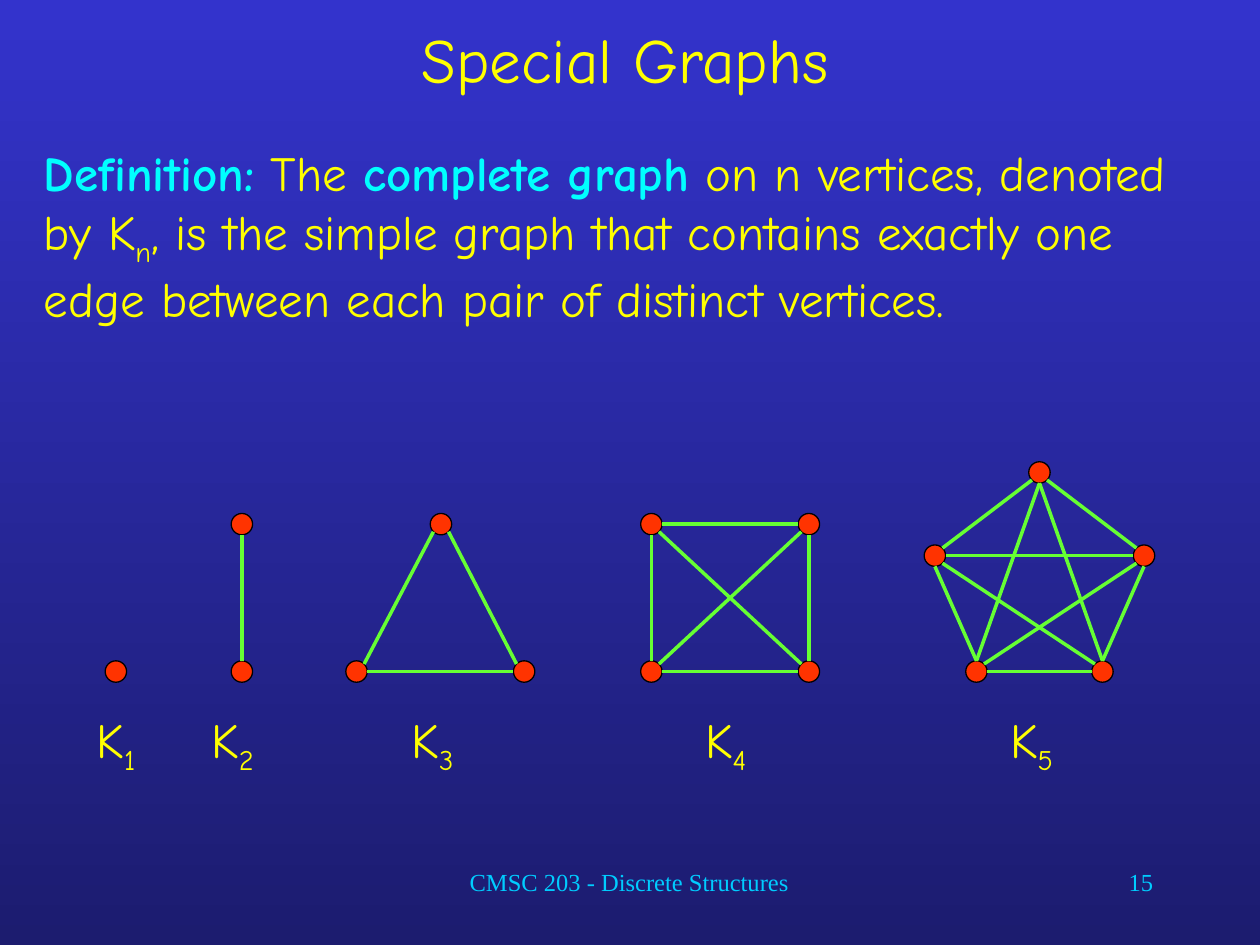
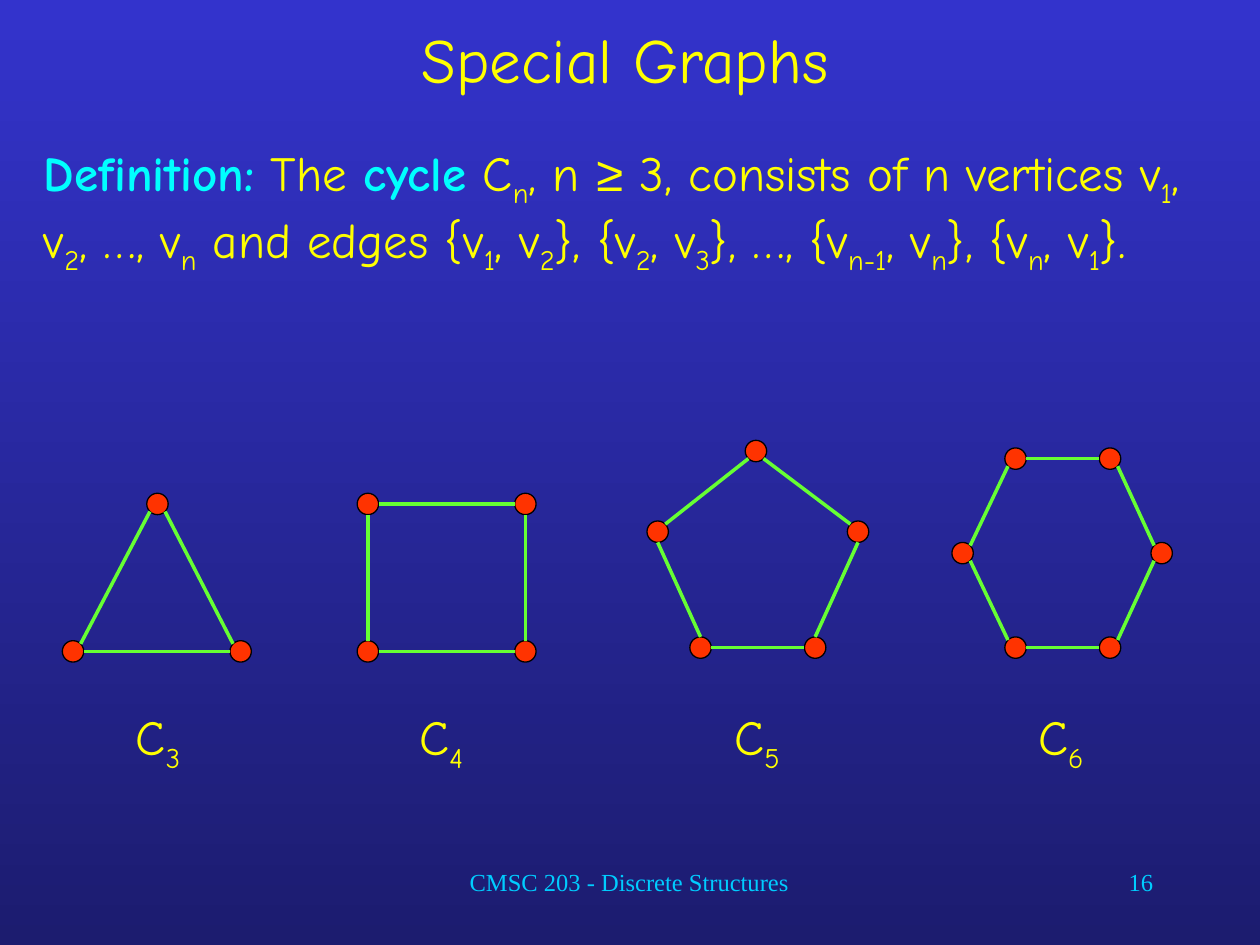
"""Build two slides on special graphs: complete graphs and cycles."""
import math
from dataclasses import dataclass
from itertools import combinations

from lxml import etree
from pptx import Presentation
from pptx import util as u
from pptx.dml.color import RGBColor
from pptx.enum import shapes, text
from pptx.oxml.ns import qn


@dataclass(frozen=True)
class Theme:
    sky: str = "3333CC"
    night: str = "1C1C6F"
    ink: str = "FFFF00"
    term: str = "00FFFF"
    footer: str = "00CCFF"
    vertex: str = "FF3300"
    outline: str = "000000"
    edge: str = "66FF33"
    font: str = "Comic Neue"
    footer_font: str = "Times New Roman"
    symbol_font: str = "Arial"
    title_size: int = 36
    body_size: int = 28
    footer_size: int = 14
    dot: float = 0.17


def rgb(color):
    return RGBColor.from_string(color)


def add_run(p, content, *, font, size, color, bold=False, subscript=False):
    r = p.add_run()
    r.text = content
    r.font.name, r.font.size, r.font.bold = font, u.Pt(size), bold
    r.font.color.rgb = rgb(color)
    if subscript:
        r.font._element.set("baseline", "-25000")


def complete_edges(points):
    return list(combinations(points, 2))


def cycle_edges(points):
    return list(zip(points, points[1:] + points[:1]))


class Deck:
    def __init__(self, theme):
        self.theme = theme
        self.prs = Presentation()
        self.prs.slide_width, self.prs.slide_height = u.Inches(10), u.Inches(7.5)
        self.marks = {
            "*": {"color": theme.term, "bold": True},
            "_": {"subscript": True},
            "@": {"font": theme.symbol_font},
        }

    def slide(self, title, number):
        t = self.theme
        self.s = self.prs.slides.add_slide(self.prs.slide_layouts[6])
        fill = self.s.background.fill
        fill.gradient()
        fill.gradient_angle = 270
        for stop, color in zip(fill.gradient_stops, (t.sky, t.night)):
            stop.color.rgb = rgb(color)
        footer = {"font": t.footer_font, "size": t.footer_size, "color": t.footer}
        self.text("CMSC 203 - Discrete Structures", 2.83, 6.83, 4.33, 0.5,
                  align=text.PP_ALIGN.CENTER, **footer)
        self.text(str(number), 7.17, 6.83, 2.08, 0.5, align=text.PP_ALIGN.RIGHT, **footer)
        self.text(title, 0.25, 0, 9.42, 0.92, size=t.title_size,
                  align=text.PP_ALIGN.CENTER, anchor=text.MSO_ANCHOR.MIDDLE)

    def text(self, content, x, y, w, h, *, font=None, size=None, color=None,
             align=text.PP_ALIGN.LEFT, anchor=text.MSO_ANCHOR.TOP,
             before=0, after=0, grow=False):
        t = self.theme
        tf = self.s.shapes.add_textbox(*map(u.Inches, (x, y, w, h))).text_frame
        tf.word_wrap, tf.vertical_anchor = True, anchor
        if grow:
            tf.auto_size = text.MSO_AUTO_SIZE.SHAPE_TO_FIT_TEXT
        p = tf.paragraphs[0]
        p.alignment, p.space_before, p.space_after = align, u.Pt(before), u.Pt(after)
        base = {"font": font or t.font, "size": size or t.body_size, "color": color or t.ink}
        for piece in content.split("|"):
            mark = self.marks.get(piece[0], {})
            add_run(p, piece[1:] if mark else piece, **{**base, **mark})

    def definition(self, content):
        self.text(content, 0.25, 1.08, 9.58, 2.08, before=7, after=7)

    def vertex(self, group, x, y):
        t = self.theme
        sp = group.shapes.add_shape(
            shapes.MSO_SHAPE.FLOWCHART_CONNECTOR, u.Inches(x - t.dot / 2),
            u.Inches(y - t.dot / 2), u.Inches(t.dot), u.Inches(t.dot))
        sp.shadow.inherit = False
        sp.fill.solid()
        sp.fill.fore_color.rgb = rgb(t.vertex)
        sp.line.color.rgb = rgb(t.outline)
        sp.line.width = u.Pt(0.75)

    def edge(self, group, start, end):
        """Join two vertices at the nearest of eight points on each rim."""
        (x1, y1), (x2, y2) = start, end
        step = math.pi / 4
        angle = round(math.atan2(y2 - y1, x2 - x1) / step) * step
        dx = self.theme.dot / 2 * math.cos(angle)
        dy = self.theme.dot / 2 * math.sin(angle)
        line = group.shapes.add_connector(
            shapes.MSO_CONNECTOR.STRAIGHT,
            *map(u.Inches, (x1 + dx, y1 + dy, x2 - dx, y2 - dy)))
        line.line.color.rgb = rgb(self.theme.edge)
        line.line.width = u.Pt(2)
        etree.SubElement(line._element.spPr, qn("a:effectLst"))

    def graph(self, outline, left, bottom, edges):
        points = [(left + dx, bottom - up) for dx, up in outline]
        group = self.s.shapes.add_group_shape()
        for x, y in points:
            self.vertex(group, x, y)
        for start, end in edges(points):
            self.edge(group, start, end)

    def label(self, content, x, y, w):
        self.text(content, x, y, w, 0.63, before=17.5, grow=True)


POINT = [(0, 0)]
SEGMENT = [(0, 0), (0, 1.17)]
TRIANGLE = [(0, 0), (1.33, 0), (0.67, 1.17)]
SQUARE = [(0, 0), (1.25, 0), (1.25, 1.17), (0, 1.17)]
WIDE_PENTAGON = [(0, 0), (1, 0), (1.33, 0.92), (0.5, 1.58), (-0.33, 0.92)]
PENTAGON = [(0, 0), (0.91, 0), (1.25, 0.92), (0.44, 1.56), (-0.34, 0.92)]
HEXAGON = [(0, 0), (0.75, 0), (1.16, 0.75), (0.75, 1.5), (0, 1.5), (-0.42, 0.75)]

SLIDES = [
    {
        "definition": "*Definition:| The |*complete graph| on n vertices, denoted by K|_n|"
                      ", is the simple graph that contains exactly one edge "
                      "between each pair of distinct vertices.",
        "letter": "K", "edges": complete_edges, "label_top": 5.58, "label_width": 0.67,
        "graphs": [(POINT, 0.92, 5.33, 0.67), (SEGMENT, 1.92, 5.33, 1.58),
                   (TRIANGLE, 2.83, 5.33, 3.17), (SQUARE, 5.17, 5.33, 5.5),
                   (WIDE_PENTAGON, 7.75, 5.33, 7.92)],
    },
    {
        "definition": "*Definition:| The |*cycle| C|_n|, n |@≥| 3, consists of n vertices v|_1|"
                      ", v|_2|, …, v|_n| and edges {v|_1|, v|_2|}, {v|_2|, v|_3|"
                      "}, …, {v|_n-1|, v|_n|}, {v|_n|, v|_1|}.",
        "letter": "C", "edges": cycle_edges, "label_top": 5.56, "label_width": 0.75,
        "graphs": [(TRIANGLE, 0.58, 5.17, 0.98), (SQUARE, 2.92, 5.17, 3.23),
                   (PENTAGON, 5.56, 5.14, 5.73), (HEXAGON, 8.06, 5.14, 8.14)],
    },
]


def main():
    deck = Deck(Theme())
    for number, page in enumerate(SLIDES, start=15):
        deck.slide("Special Graphs", number)
        deck.definition(page["definition"])
        for outline, left, bottom, label_left in page["graphs"]:
            deck.graph(outline, left, bottom, page["edges"])
            deck.label(f"{page['letter']}|_{len(outline)}", label_left,
                       page["label_top"], page["label_width"])
    deck.prs.save("out.pptx")


if __name__ == "__main__":
    main()
